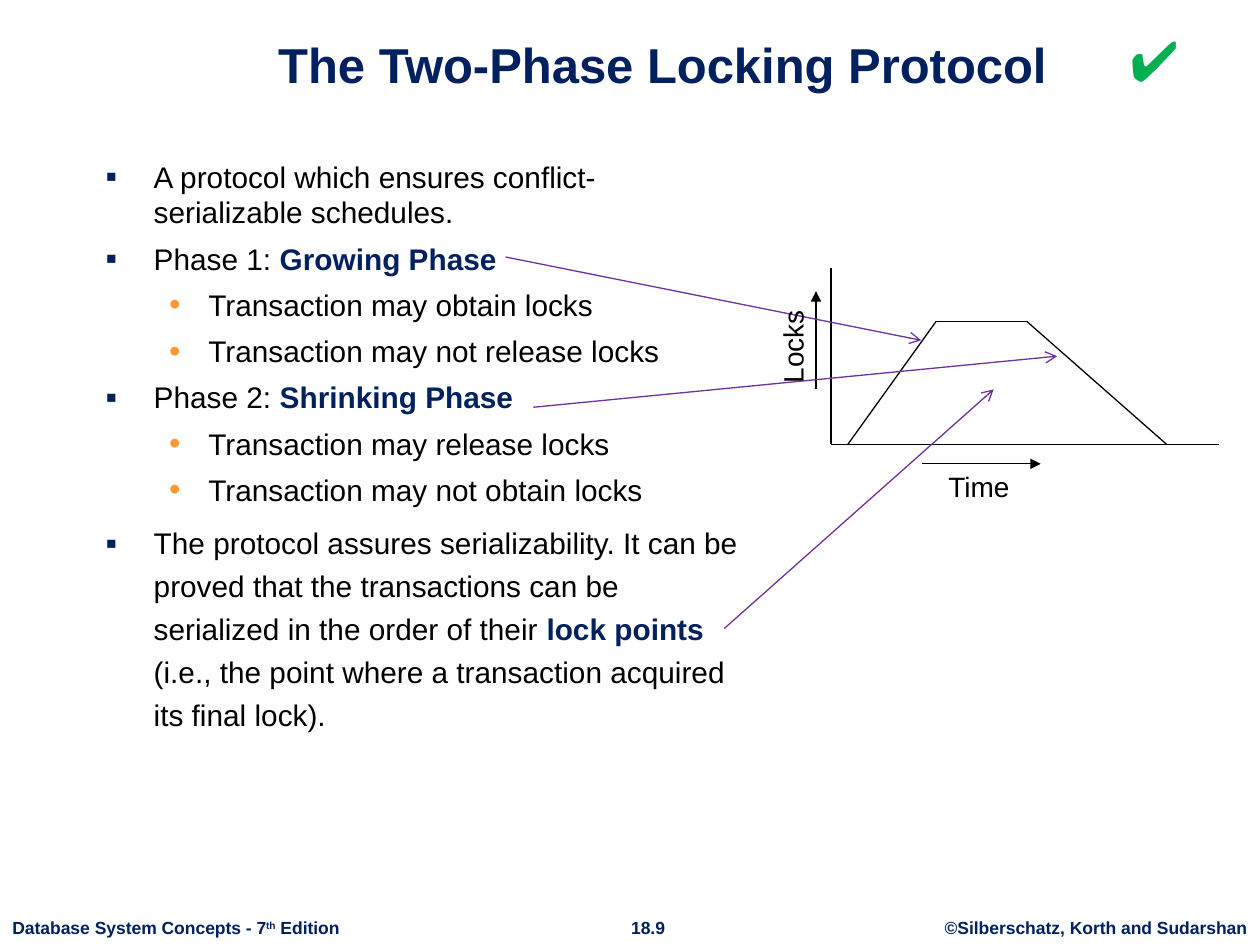
"""Build the slide on the two-phase locking protocol."""

from typing import NamedTuple

from lxml.etree import SubElement
from pptx import Presentation
from pptx.dml.color import RGBColor
from pptx.enum.shapes import MSO_CONNECTOR
from pptx.enum.text import MSO_ANCHOR, PP_ALIGN
from pptx.oxml.ns import qn
from pptx.util import Cm, Pt

NAVY, BLACK, PURPLE, GREEN, ORANGE = "002060", "000000", "7030A0", "00B050", "FF9933"


class Run(NamedTuple):
    text: str
    size: float
    color: str = BLACK
    bold: bool = False
    baseline: int = 0


class Box(NamedTuple):
    left: float
    top: float
    width: float
    height: float


class Label(NamedTuple):
    box: Box
    runs: list[Run]
    align: PP_ALIGN = PP_ALIGN.LEFT
    wrap: bool = True
    rotation: float = 0


class Line(NamedTuple):
    x1: float
    y1: float
    x2: float
    y2: float
    color: str = BLACK
    head: str = ""


class Level(NamedTuple):
    bullet: str
    color: str
    margin: float
    hanging: float


class Item(NamedTuple):
    level: int
    runs: list[Run]
    spacing: float = 1.0


def rgb(value: str) -> RGBColor:
    return RGBColor.from_string(value)


def add_runs(p, runs: list[Run]) -> None:
    for run in runs:
        r = p.add_run()
        r.text = run.text
        r.font.name = "Arial"
        r.font.size = Pt(run.size)
        r.font.bold = run.bold
        r.font.color.rgb = rgb(run.color)
        if run.baseline:
            r.font._element.set("baseline", str(run.baseline))


def place(sp, box: Box) -> None:
    sp.left, sp.top, sp.width, sp.height = map(Cm, box)


def add_label(s, label: Label) -> None:
    sp = s.shapes.add_textbox(*map(Cm, label.box))
    sp.rotation = label.rotation
    tf = sp.text_frame
    tf.word_wrap = label.wrap
    p = tf.paragraphs[0]
    p.alignment = label.align
    add_runs(p, label.runs)


def add_line(s, line: Line) -> None:
    ends = map(Cm, (line.x1, line.y1, line.x2, line.y2))
    sp = s.shapes.add_connector(MSO_CONNECTOR.STRAIGHT, *ends)
    sp.line.color.rgb = rgb(line.color)
    sp.line.width = Pt(0.75)
    if line.head:
        SubElement(sp.line._get_or_add_ln(), qn("a:tailEnd"), type=line.head)
    SubElement(sp._element.spPr, qn("a:effectLst"))


def set_bullet(p, level: Level) -> None:
    pPr = p._p.get_or_add_pPr()
    pPr.set("marL", str(Cm(level.margin)))
    pPr.set("indent", str(-Cm(level.hanging)))
    color = SubElement(pPr, qn("a:buClr"))
    SubElement(color, qn("a:srgbClr"), val=level.color)
    SubElement(pPr, qn("a:buSzPct"), val="110000")
    SubElement(pPr, qn("a:buFont"), typeface="Arial")
    SubElement(pPr, qn("a:buChar"), char=level.bullet)


def add_outline(s, box: Box, items: list[Item]) -> None:
    tf = s.shapes.add_textbox(*map(Cm, box)).text_frame
    tf.word_wrap = True
    for i, item in enumerate(items):
        p = tf.add_paragraph() if i else tf.paragraphs[0]
        p.level = item.level
        p.line_spacing = item.spacing
        p.space_before = Pt(6)
        set_bullet(p, LEVELS[item.level])
        add_runs(p, item.runs)


def body(text: str) -> Run:
    return Run(text, 17)


def term(text: str) -> Run:
    return Run(text, 17, NAVY, True)


def footer(text: str, baseline: int = 0) -> Run:
    return Run(text, 10, NAVY, True, baseline)


LEVELS = [Level("▪", NAVY, 0.97, 0.97), Level("•", ORANGE, 2.07, 0.79)]

ITEMS = [
    Item(0, [body("A protocol which ensures conflict-serializable schedules.")]),
    Item(0, [body("Phase 1: "), term("Growing Phase")]),
    Item(1, [body("Transaction may obtain locks")]),
    Item(1, [body("Transaction may not release locks")]),
    Item(0, [body("Phase 2: "), term("Shrinking Phase")]),
    Item(1, [body("Transaction may release locks")]),
    Item(1, [body("Transaction may not obtain locks")]),
    Item(0, [
        body("The protocol assures serializability. It can be proved that the "
             "transactions can be serialized in the order of their "),
        term("lock points "),
        body("(i.e., the point where a transaction acquired its final lock)."),
    ], 1.2),
]

BASE, TOP = 8.96, 6.48
LINES = [
    Line(17.09, BASE, 18.87, TOP),
    Line(18.87, TOP, 20.7, TOP),
    Line(20.7, TOP, 23.52, BASE),
    Line(16.75, 5.4, 16.75, BASE),
    Line(16.75, BASE, 24.57, BASE),
    Line(18.58, 9.35, 20.98, 9.35, head="triangle"),
    Line(16.45, 7.85, 16.45, 5.87, head="triangle"),
    Line(10.19, 5.18, 18.57, 6.86, PURPLE, "arrow"),
    Line(10.75, 8.21, 21.31, 7.18, PURPLE, "arrow"),
    Line(14.6, 12.67, 20.03, 7.85, PURPLE, "arrow"),
]

LABELS = [
    Label(Box(18.79, 18.37, 6.6, 0.69), [footer("©Silberschatz, Korth and Sudarshan")],
          PP_ALIGN.CENTER, False),
    Label(Box(12.34, 18.36, 1.45, 0.69), [footer("18.9")], PP_ALIGN.CENTER, False),
    Label(Box(0, 18.37, 7.14, 0.69),
          [footer("Database System Concepts - 7"), footer("th", 30000), footer(" Edition")],
          wrap=False),
    Label(Box(18.87, 9.35, 2.24, 0.94), [Run("Time", 16)]),
    Label(Box(14.86, 6.39, 2.24, 0.94), [Run("Locks", 16)], rotation=270),
    Label(Box(22.53, 0.4, 1.47, 1.63), [Run("✔️", 32, GREEN)]),
]


def main() -> None:
    prs = Presentation()
    prs.slide_width, prs.slide_height = Cm(25.4), Cm(19.05)
    s = prs.slides.add_slide(prs.slide_layouts[5])
    title = s.shapes.title
    place(title, Box(2.14, 0.31, 22.43, 1.7))
    tf = title.text_frame
    tf.vertical_anchor = MSO_ANCHOR.BOTTOM
    tf.paragraphs[0].alignment = PP_ALIGN.CENTER
    add_runs(tf.paragraphs[0], [Run("The Two-Phase Locking Protocol", 28, NAVY, True)])
    add_outline(s, Box(1.88, 3.07, 13.34, 14.91), ITEMS)
    for line in LINES:
        add_line(s, line)
    for label in LABELS:
        add_label(s, label)
    prs.save("out.pptx")


if __name__ == "__main__":
    main()
